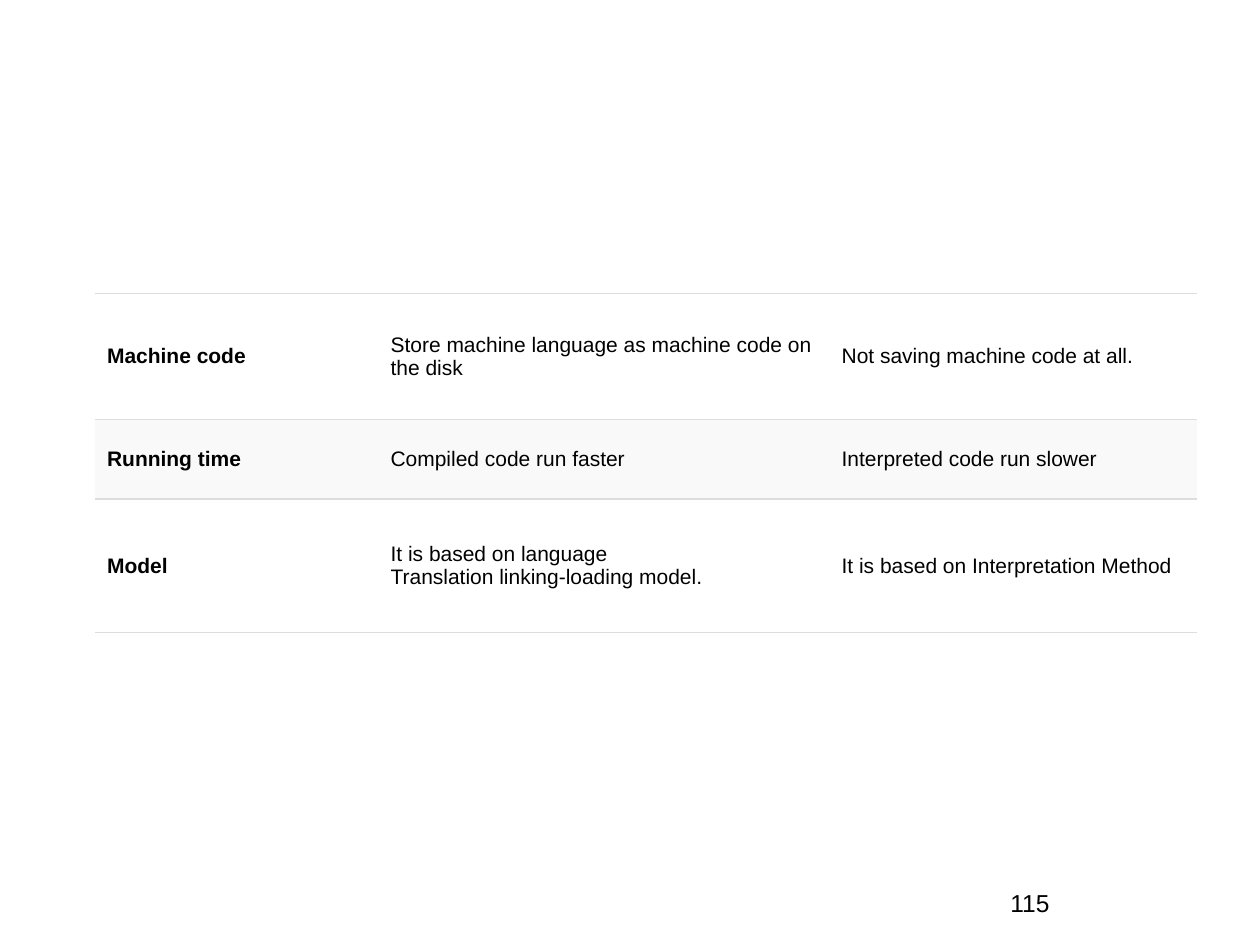
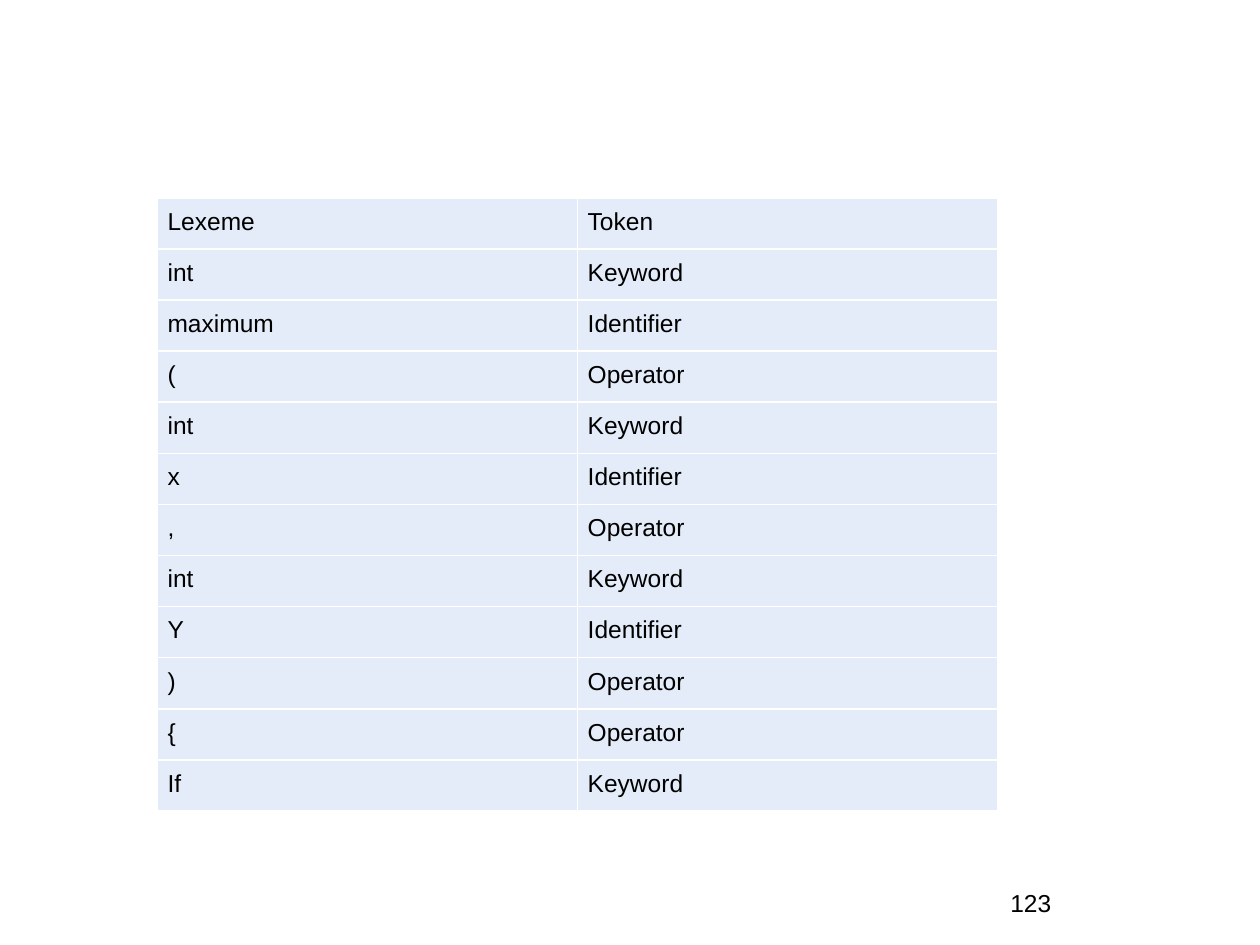
from lxml import etree
from pptx import Presentation
from pptx import util as u
from pptx.dml.color import RGBColor
from pptx.enum import text
from pptx.oxml.ns import qn

FONT = "Arial"
BLACK = RGBColor(0x00, 0x00, 0x00)
WHITE = RGBColor(0xFF, 0xFF, 0xFF)
RULE_GREY = RGBColor(0xDD, 0xDD, 0xDD)
BAND_GREY = RGBColor(0xF9, 0xF9, 0xF9)
PALE_BLUE = RGBColor(0xE3, 0xEC, 0xF8)

COMPARISON = [
    ("Machine code", "Store machine language as machine code on the disk",
     "Not saving machine code at all."),
    ("Running time", "Compiled code run faster", "Interpreted code run slower"),
    ("Model", "It is based on language\nTranslation linking-loading model.",
     "It is based on Interpretation Method"),
]
LEXEMES = [
    ("Lexeme", "Token"), ("int", "Keyword"), ("maximum", "Identifier"),
    ("(", "Operator"), ("int", "Keyword"), ("x", "Identifier"),
    (",", "Operator"), ("int", "Keyword"), ("Y", "Identifier"),
    (")", "Operator"), ("{", "Operator"), ("If", "Keyword"),
]


def style_text(text_frame, size, bold=False):
    for paragraph in text_frame.paragraphs:
        for run in paragraph.runs:
            run.font.name = FONT
            run.font.size = u.Pt(size)
            run.font.bold = bold
            run.font.color.rgb = BLACK


def set_borders(cell, color, width, sides):
    """Rule the given sides (of L, R, T, B) and clear the others."""
    properties = cell._tc.get_or_add_tcPr()
    for index, side in enumerate("LRTB"):
        line = etree.Element(qn(f"a:ln{side}"), w=str(u.Pt(width)))
        if side in sides:
            fill = etree.SubElement(line, qn("a:solidFill"))
            etree.SubElement(fill, qn("a:srgbClr"), val=str(color))
        else:
            etree.SubElement(line, qn("a:noFill"))
        properties.insert(index, line)


def add_plain_table(slide, rows, left, top, widths, heights):
    shape = slide.shapes.add_table(
        len(rows), len(widths), u.Inches(left), u.Inches(top),
        u.Inches(sum(widths)), u.Inches(sum(heights)))
    table = shape.table
    table.first_row = table.horz_banding = False
    for column, width in zip(table.columns, widths):
        column.width = u.Inches(width)
    for row, height, values in zip(table.rows, heights, rows):
        row.height = u.Inches(height)
        for cell, value in zip(row.cells, values):
            cell.text_frame.text = value
            cell.fill.solid()
    return table


def add_page_number(slide, number):
    box = slide.shapes.add_textbox(
        u.Inches(7.92), u.Inches(7), u.Inches(2.08), u.Inches(0.5))
    box.text_frame.word_wrap = True
    box.text_frame.text = str(number)
    style_text(box.text_frame, 14)


def add_comparison_table(slide, left, top):
    table = add_plain_table(slide, COMPARISON, left, top,
                            [2.25, 3.58, 2.92], [1, 0.63, 1.06])
    for row_index, row in enumerate(table.rows):
        for column_index, cell in enumerate(row.cells):
            cell.vertical_anchor = text.MSO_ANCHOR.MIDDLE
            cell.fill.fore_color.rgb = BAND_GREY if row_index % 2 else WHITE
            style_text(cell.text_frame, 12, bold=column_index == 0)
            set_borders(cell, RULE_GREY, 0.75, "TB")


def add_lexeme_table(slide, left, top, width, height):
    row_count = len(LEXEMES)
    table = add_plain_table(slide, LEXEMES, left, top, [width / 2] * 2,
                            [height / row_count] * row_count)
    for cell in table.iter_cells():
        cell.margin_left = cell.margin_right = u.Inches(0.08)
        cell.margin_top = cell.margin_bottom = u.Inches(0.08)
        cell.fill.fore_color.rgb = PALE_BLUE
        style_text(cell.text_frame, 14)
        set_borders(cell, WHITE, 1, "LRTB")


def add_numbered_slide(presentation, number):
    slide = presentation.slides.add_slide(presentation.slide_layouts[6])
    add_page_number(slide, number)
    return slide


def main():
    presentation = Presentation()
    presentation.slide_width = u.Inches(10)
    presentation.slide_height = u.Inches(7.5)

    # Compiler and interpreter compared
    add_comparison_table(add_numbered_slide(presentation, 115), 0.75, 2.33)

    # Lexemes and their tokens
    add_lexeme_table(add_numbered_slide(presentation, 123),
                     1.25, 1.57, 6.67, 4.87)

    presentation.save("out.pptx")


if __name__ == "__main__":
    main()
